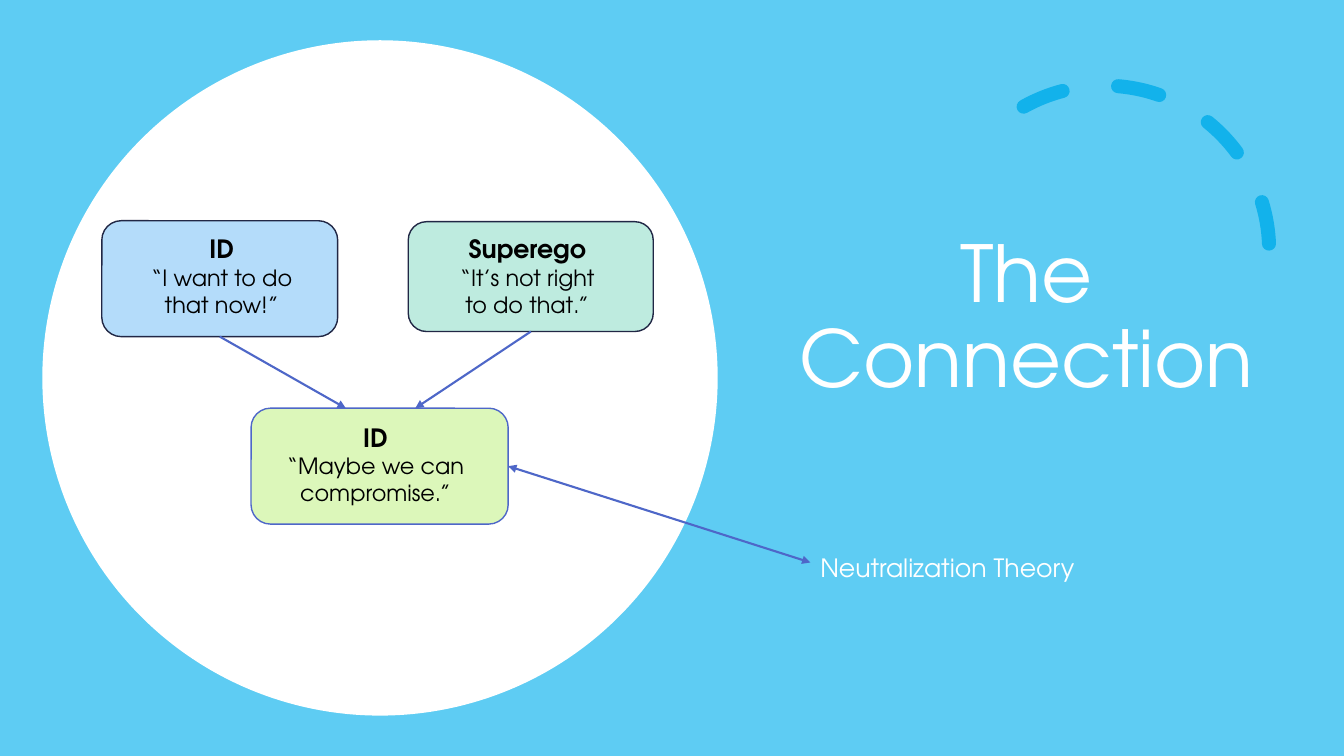
from lxml import etree
from pptx import Presentation, util as u
from pptx.dml.color import RGBColor
from pptx.enum import dml, shapes, text
from pptx.oxml.ns import qn

WIDTH, HEIGHT = u.Inches(13.33), u.Inches(7.5)
FONT = "TeX Gyre Adventor"
SKY, ARC_BLUE, LINE_BLUE, NAVY = "5ECCF3", "12B2EB", "4E67C8", "212745"
WHITE, BLACK = "FFFFFF", "000000"


def color(hex_string):
    return RGBColor.from_string(hex_string)


def place(*shares):
    """Turn alternating percentages of slide width and height into lengths."""
    return [int((HEIGHT if index % 2 else WIDTH) * share / 100)
            for index, share in enumerate(shares)]


def add_outline(line, hex_string, width):
    line.color.rgb = color(hex_string)
    line.width = u.Pt(width)


def add_figure(slide, kind, area, fill=None, line=None, width=1):
    shape = slide.shapes.add_shape(kind, *place(*area))
    shape.shadow.inherit = False
    if fill:
        shape.fill.solid()
        shape.fill.fore_color.rgb = color(fill)
    else:
        shape.fill.background()
    if line:
        add_outline(shape.line, line, width)
    else:
        shape.line.fill.background()
    return shape


def write(frame, lines, hex_string, align):
    """Fill a text frame with (text, size, bold) lines."""
    frame.word_wrap = True
    for index, (words, size, bold) in enumerate(lines):
        paragraph = frame.add_paragraph() if index else frame.paragraphs[0]
        paragraph.text = words
        paragraph.alignment = align
        font = paragraph.font
        font.name, font.size, font.bold = FONT, u.Pt(size), bold
        font.color.rgb = color(hex_string)


def add_text(slide, area, lines, hex_string=BLACK, align=text.PP_ALIGN.CENTER):
    box = slide.shapes.add_textbox(*place(*area))
    write(box.text_frame, lines, hex_string, align)


def add_arrow(slide, source, side, end, both=False):
    """Draw an arrow from the middle of a box side to a point."""
    arrow = slide.shapes.add_connector(
        shapes.MSO_CONNECTOR.STRAIGHT, 0, 0, *place(*end))
    arrow.begin_connect(source, side)
    add_outline(arrow.line, LINE_BLUE, 1.5)
    properties = arrow.element.spPr
    outline = properties.find(qn("a:ln"))
    for tag in ("a:headEnd", "a:tailEnd") if both else ("a:tailEnd",):
        etree.SubElement(outline, qn(tag), type="triangle")
    etree.SubElement(properties, qn("a:effectLst"))


def add_title(slide):
    title = slide.shapes.title
    title.left, title.top, title.width, title.height = place(
        58.05, 9.47, 36.68, 44.67)
    frame = title.text_frame
    frame.auto_size = text.MSO_AUTO_SIZE.NONE
    frame.vertical_anchor = text.MSO_ANCHOR.BOTTOM
    write(frame, [("The Connection", 56, False)], WHITE, text.PP_ALIGN.CENTER)
    frame.paragraphs[0].line_spacing = 0.9


def add_dashed_arc(slide):
    arc = add_figure(slide, shapes.MSO_SHAPE.ARC, (69.9, 11.33, 24.53, 43.6),
                     line=ARC_BLUE, width=10)
    arc.adjustments[0], arc.adjustments[1] = 144.42, 0
    arc.line.dash_style = dml.MSO_LINE.DASH
    arc.element.spPr.find(qn("a:ln")).set("cap", "rnd")


def main():
    presentation = Presentation()
    presentation.slide_width, presentation.slide_height = WIDTH, HEIGHT
    slide = presentation.slides.add_slide(presentation.slide_layouts[5])

    # Backdrop and title
    add_figure(slide, shapes.MSO_SHAPE.RECTANGLE, (0, 0, 100, 100), SKY)
    add_dashed_arc(slide)
    add_title(slide)
    title = slide.shapes.title.element
    title.getparent().append(title)  # bring the title above the backdrop
    add_figure(slide, shapes.MSO_SHAPE.OVAL, (3.15, 5.33, 50.25, 89.33), WHITE)

    # Boxes of the mind: area, fill, outline
    superego, wish, compromise = [
        add_figure(slide, shapes.MSO_SHAPE.ROUNDED_RECTANGLE, *box)
        for box in (
            ((30.38, 29.33, 18.23, 14.53), "BEEBDF", NAVY),
            ((7.58, 29.2, 17.55, 15.33), "B4DCFA", NAVY),
            ((18.68, 54, 19.13, 15.33), "DCF7BA", LINE_BLUE),
        )]

    # Box wording
    for area, name, quote in (
            ((10.2, 30.27, 12.6, 12.53), "ID", "“I want to do that now!”"),
            ((32.93, 30.27, 12.6, 12.53), "Superego",
             "“It’s not right to do that.”"),
            ((19.5, 55.2, 16.88, 12.53), "ID", "“Maybe we can compromise.”")):
        add_text(slide, area, [(name, 18, True), (quote, 16, False)])

    # Arrows and the theory they lead to
    add_arrow(slide, wish, 2, (25.73, 54))
    add_arrow(slide, superego, 2, (30.9, 54))
    add_arrow(slide, compromise, 3, (60.3, 74.4), both=True)
    add_text(slide, (60.3, 72.4, 21.23, 5.33),
             [("Neutralization Theory", 18, False)], WHITE, text.PP_ALIGN.LEFT)

    presentation.save("out.pptx")


if __name__ == "__main__":
    main()
